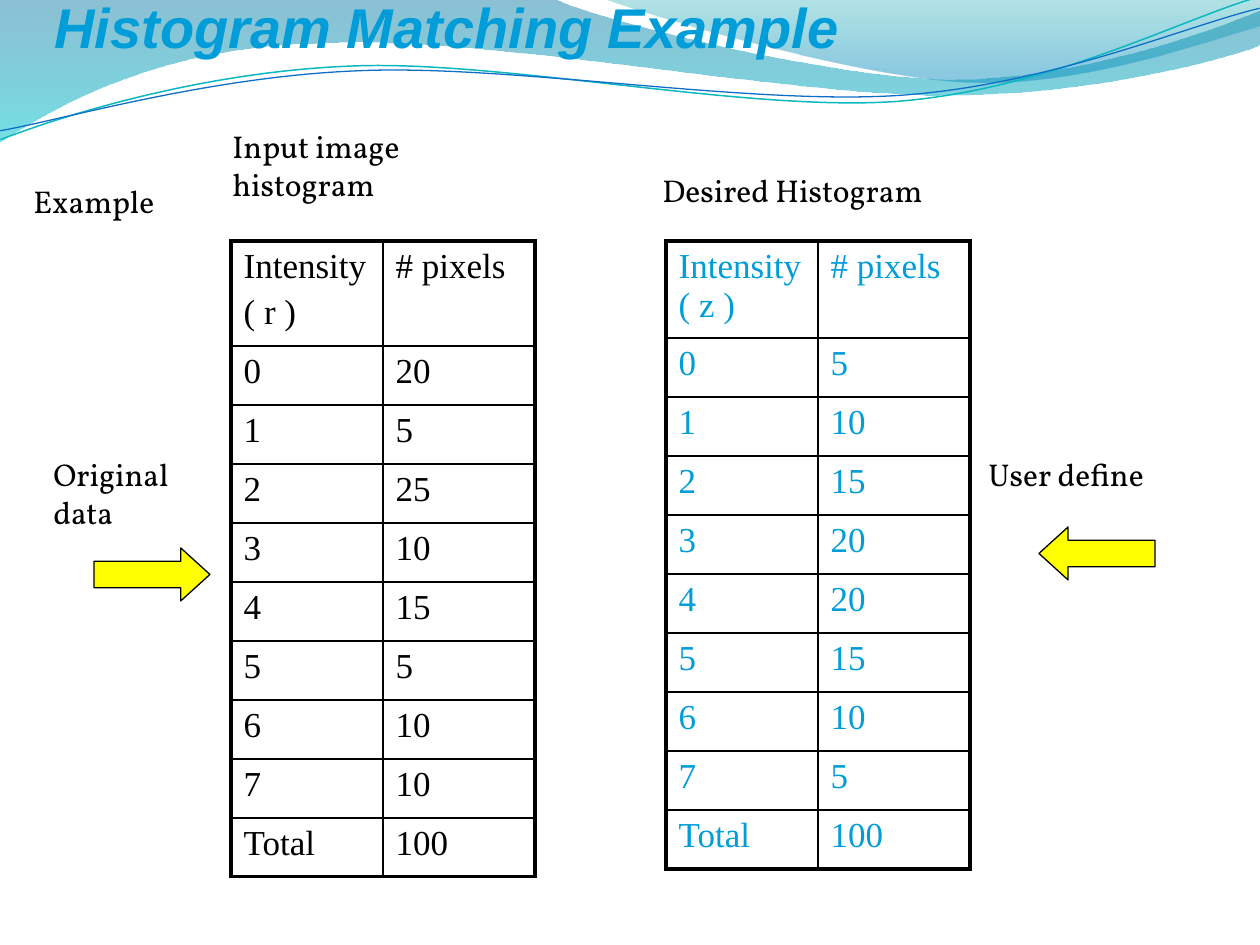
from lxml.etree import SubElement
from pptx import Presentation
from pptx.dml.color import RGBColor
from pptx.enum.shapes import MSO_SHAPE
from pptx.oxml.ns import qn
from pptx.util import Emu, Pt

EMU_PER_PX = 914400 / 126
ROW_HEIGHT = 59
COLUMN_WIDTH = 152
TABLE_TOP = 241
CURVE_ROTATION = -2.7

BLACK = RGBColor(0x00, 0x00, 0x00)
SKY = RGBColor(0x00, 0x9D, 0xD9)
YELLOW = RGBColor(0xFF, 0xFF, 0x00)
DEEP_BLUE = RGBColor(0x00, 0x74, 0xA1)
AQUA = RGBColor(0x00, 0xC6, 0xCF)
TEAL = RGBColor(0x00, 0xA1, 0xA9)
MID_BLUE = RGBColor(0x00, 0x8B, 0xBF)
LINE_TEAL = RGBColor(0x0A, 0xB8, 0xBF)
LINE_BLUE = RGBColor(0x0F, 0x6F, 0xC6)

# Each outline is a list of segments: a start, then lines (one point) and Bezier curves (three).
LEFT_WAVE = [[(0, 0)], [(554, -1)],
             [(600, 21), (837, 79), (955, 79)], [(1075, 79), (1207, 33), (1260, 11)],
             [(1261, 45)],
             [(1239, 55), (1096, 96), (940, 95)], [(784, 95), (481, 35), (324, 43)],
             [(163, 45), (58, 105), (-1, 142)]]
RIGHT_WAVE = [[(604, -1)], [(641, 14), (859, 78), (969, 82)],
              [(1079, 87), (1211, 40), (1260, 26)], [(1260, 0)]]
TEAL_CURVE = [[(-2, 110)], [(58, 90), (199, 52), (350, 53)],
              [(499, 53), (745, 118), (896, 114)], [(1049, 109), (1184, 45), (1260, 27)]]
BLUE_CURVE = [[(-2, 101)], [(57, 94), (207, 57), (357, 58)],
              [(509, 58), (750, 112), (902, 108)], [(1052, 104), (1188, 52), (1262, 38)]]

INPUT_PIXELS = [20, 5, 25, 10, 15, 5, 10, 10]
DESIRED_PIXELS = [5, 10, 15, 20, 20, 15, 10, 5]


def px(length):
    return Emu(round(length * EMU_PER_PX))


def add_outline(slide, outline, closed):
    """Build a freeform through all points, then join each three-point segment to a curve."""
    start, *points = [(px(x), px(y)) for segment in outline for x, y in segment]
    builder = slide.shapes.build_freeform(*start, scale=1.0)
    builder.add_line_segments(points, close=closed)
    shape = builder.convert_to_shape()
    shape.shadow.inherit = False
    steps = shape.element.spPr.iter(qn("a:lnTo"))
    steps = iter(list(steps))
    for segment in outline[1:]:
        first, *others = [next(steps) for _ in segment]
        if others:
            first.tag = qn("a:cubicBezTo")
        for step in others:
            first.append(step[0])
            step.getparent().remove(step)
    return shape


def add_wave(slide, outline, stops):
    """Add a filled wave; stops are (position, colour, opacity percent), top to bottom."""
    shape = add_outline(slide, outline, closed=True)
    shape.line.fill.background()
    shape.fill.gradient()
    shape.fill.gradient_angle = 270
    for stop, (position, color, _) in zip(shape.fill.gradient_stops, stops):
        stop.position = position
        stop.color.rgb = color
    color_elements = shape.element.spPr.iter(qn("a:srgbClr"))
    for element, (_, _, opacity) in zip(color_elements, stops):
        SubElement(element, qn("a:alpha"), val=str(opacity * 1000))


def add_curve(slide, outline, color, width):
    shape = add_outline(slide, outline, closed=False)
    shape.rotation = CURVE_ROTATION
    shape.fill.background()
    shape.line.color.rgb = color
    shape.line.width = Pt(width)


def write_lines(text_frame, lines, font_name, size, color, bold=False, italic=False, gap=0):
    for index, line in enumerate(lines):
        paragraph = text_frame.add_paragraph() if index else text_frame.paragraphs[0]
        if index and gap:
            paragraph.space_before = Pt(gap)
        run = paragraph.add_run()
        run.text = line
        run.font.name = font_name
        run.font.size = Pt(size)
        run.font.color.rgb = color
        run.font.bold = bold
        run.font.italic = italic


def add_text(slide, left, top, width, height, lines, font_name="Vollkorn", size=18,
             color=BLACK, **style):
    box = slide.shapes.add_textbox(px(left), px(top), px(width), px(height))
    box.text_frame.word_wrap = True
    write_lines(box.text_frame, lines, font_name, size, color, **style)


def set_borders(cell, widths):
    """Draw black cell borders; widths maps the sides L, R, T, B to points."""
    properties = cell._tc.get_or_add_tcPr()
    for side, width in widths.items():
        line = SubElement(properties, qn(f"a:ln{side}"), w=str(Pt(width)))
        fill = SubElement(line, qn("a:solidFill"))
        SubElement(fill, qn("a:srgbClr"), val=str(BLACK))


def add_histogram_table(slide, left, header_height, intensity_lines, pixels, color):
    rows = [(intensity_lines, ["# pixels"])]
    rows += [([str(level)], [str(count)]) for level, count in enumerate(pixels)]
    rows.append((["Total"], [str(sum(pixels))]))
    last = len(rows) - 1
    height = header_height + last * ROW_HEIGHT
    table = slide.shapes.add_table(
        len(rows), 2, px(left), px(TABLE_TOP), px(2 * COLUMN_WIDTH), px(height)).table
    table.first_row = False
    table.horz_banding = False
    for column in table.columns:
        column.width = px(COLUMN_WIDTH)
    for row_index, row in enumerate(rows):
        table.rows[row_index].height = px(ROW_HEIGHT if row_index else header_height)
        for column_index, lines in enumerate(row):
            cell = table.cell(row_index, column_index)
            outer = {"L": column_index == 0, "R": column_index == 1,
                     "T": row_index == 0, "B": row_index == last}
            set_borders(cell, {side: 2.25 if edge else 1 for side, edge in outer.items()})
            cell.fill.background()
            write_lines(cell.text_frame, lines, "Times New Roman", 20, color, gap=4)


def add_arrow(slide, kind, left, top):
    arrow = slide.shapes.add_shape(kind, px(left), px(top), px(116), px(53))
    arrow.shadow.inherit = False
    arrow.adjustments[0] = 0.5
    arrow.adjustments[1] = 0.55
    arrow.fill.solid()
    arrow.fill.fore_color.rgb = YELLOW
    arrow.line.color.rgb = BLACK
    arrow.line.width = Pt(0.75)


def main():
    presentation = Presentation()
    presentation.slide_width = px(1260)
    presentation.slide_height = px(945)
    slide = presentation.slides.add_slide(presentation.slide_layouts[6])

    add_wave(slide, LEFT_WAVE, [(0, DEEP_BLUE, 45), (1, AQUA, 55)])
    add_wave(slide, RIGHT_WAVE, [(0, TEAL, 30), (0.8, MID_BLUE, 45)])
    add_curve(slide, TEAL_CURVE, LINE_TEAL, 0.85)
    add_curve(slide, BLUE_CURVE, LINE_BLUE, 0.75)

    add_text(slide, 42, -14, 816, 81, ["Histogram Matching Example"],
             "Arial", 32, SKY, bold=True, italic=True)
    add_histogram_table(slide, 231, 105, ["Intensity", "( r )"], INPUT_PIXELS, BLACK)
    add_text(slide, 220, 121, 227, 113, ["Input image", "histogram"])
    add_histogram_table(slide, 666, 97, ["Intensity ( z )"], DESIRED_PIXELS, SKY)
    add_text(slide, 650, 165, 344, 63, ["Desired Histogram"])
    add_text(slide, 21, 176, 174, 63, ["Example"])
    add_text(slide, 976, 449, 221, 63, ["User define"])
    add_arrow(slide, MSO_SHAPE.LEFT_ARROW, 1039, 527)
    add_text(slide, 41, 449, 165, 113, ["Original", "data"])
    add_arrow(slide, MSO_SHAPE.RIGHT_ARROW, 94, 548)

    presentation.save("out.pptx")


if __name__ == "__main__":
    main()
